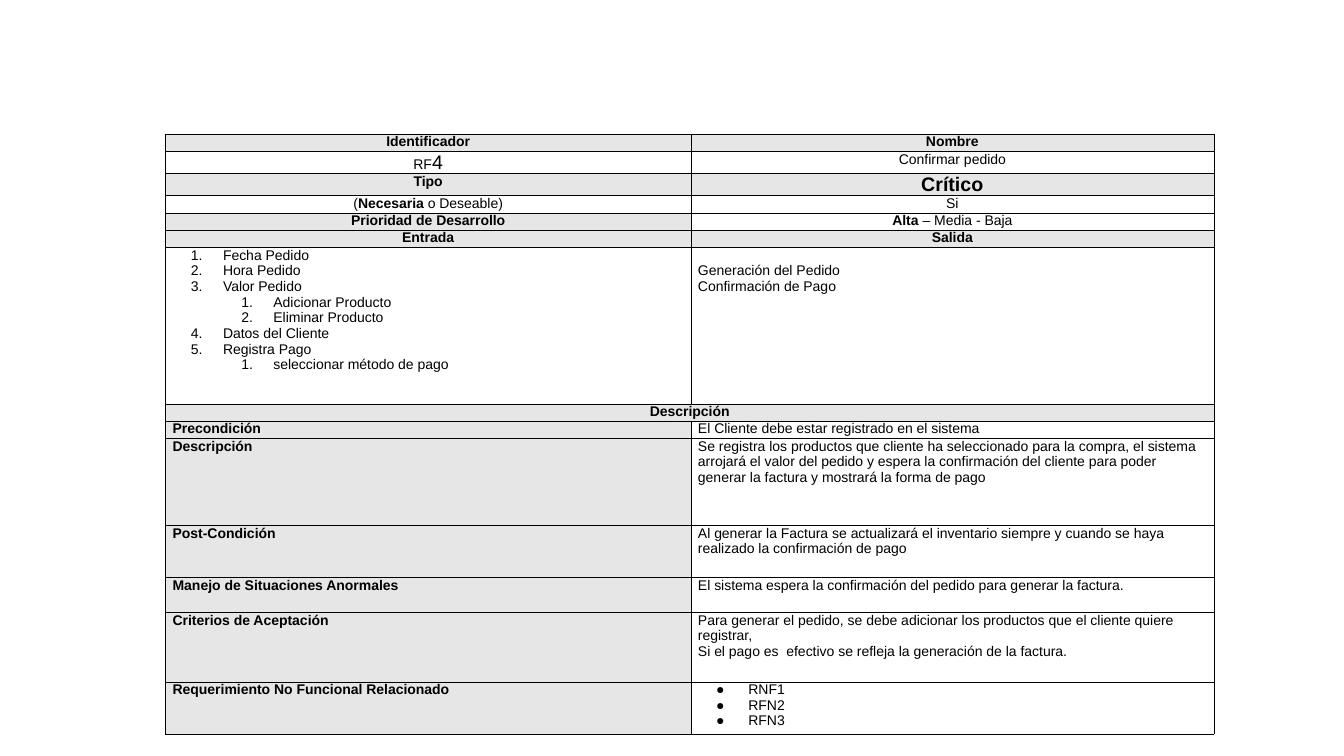
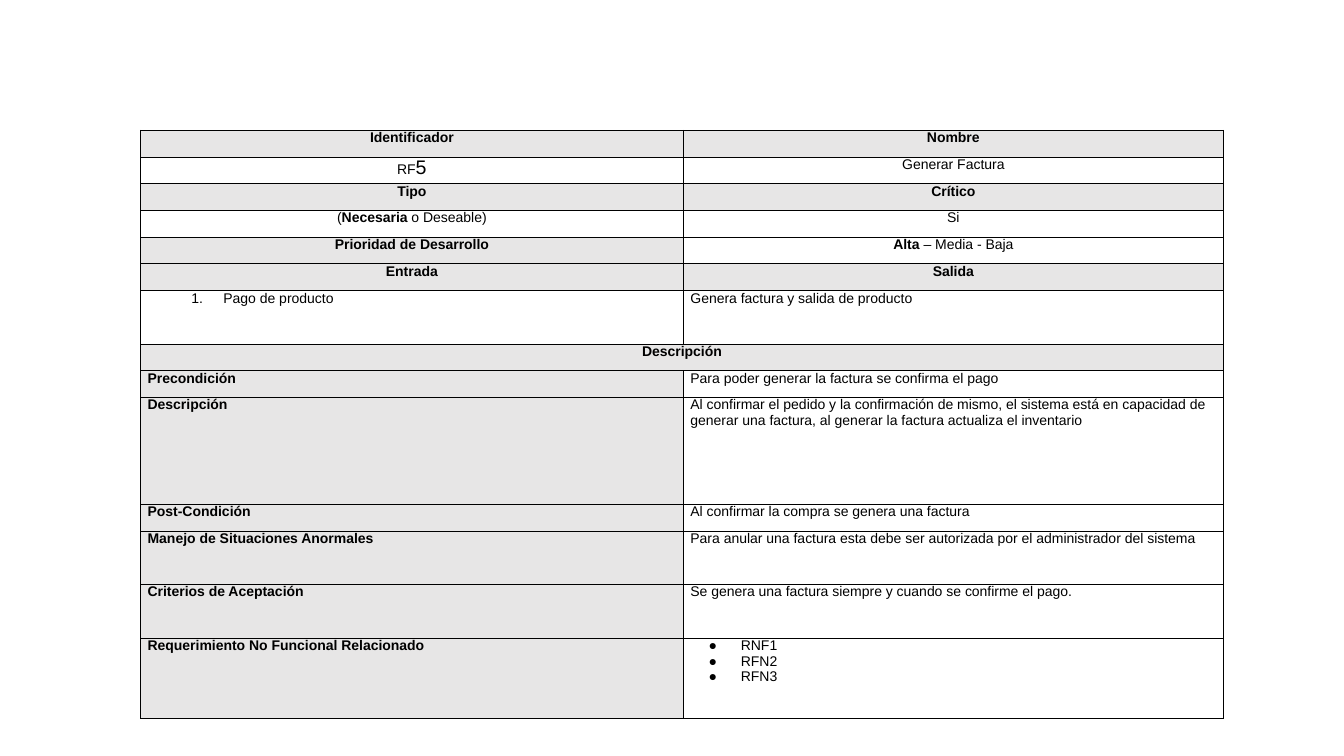
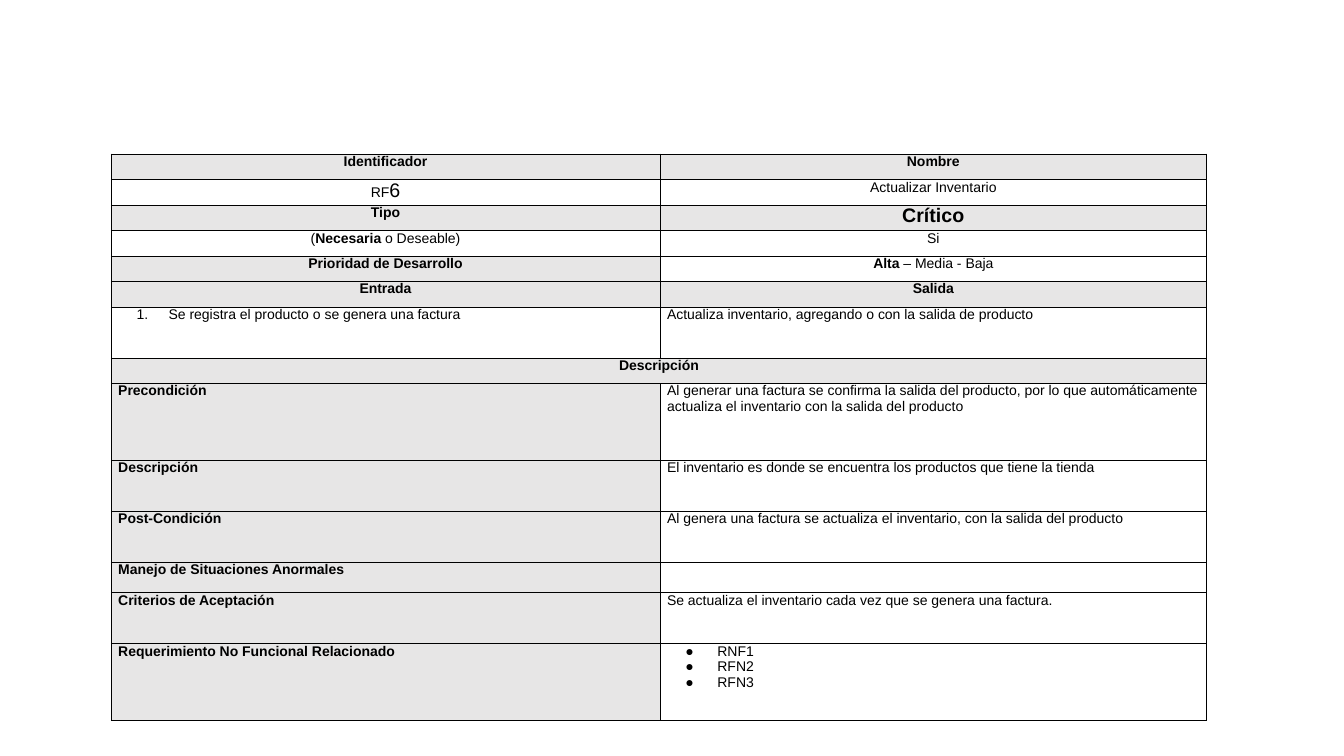
"""Build three requirement sheets as tables, one per slide."""
from dataclasses import dataclass, field

from lxml.etree import SubElement
from pptx import Presentation
from pptx.dml.color import RGBColor
from pptx.enum.text import PP_ALIGN
from pptx.oxml.ns import qn
from pptx.util import Cm, Pt


@dataclass(frozen=True)
class Theme:
    """Colours, type sizes and lengths that all sheets share."""
    font: str = "Arial"
    ink: str = "000000"
    shade: str = "E7E6E6"
    body: float = 10
    large: float = 14
    border: float = 0.5
    side_margin: float = 0.18
    hanging: float = 0.81
    list_indent: float = 1.27


THEME = Theme()


@dataclass(frozen=True)
class Run:
    """A stretch of text in one format."""
    text: str
    bold: bool = False
    size: float = THEME.body


@dataclass(frozen=True)
class Line:
    """A paragraph, with a list marker if it has one."""
    runs: tuple[Run, ...]
    marker: str = ""
    level: int = 0
    indent: float = THEME.list_indent


@dataclass(frozen=True)
class Box:
    """The content and look of one table cell."""
    lines: tuple[Line, ...]
    shaded: bool = False
    centred: bool = False
    top_margin: float = 0


@dataclass(frozen=True)
class Requirement:
    """The content and geometry of one sheet."""
    left: float
    top: float
    columns: tuple[float, float]
    height: float
    row_units: tuple[int, ...]
    number: str
    name: str
    inputs: tuple[Line, ...]
    outputs: tuple[str, ...]
    details: tuple[tuple[str, ...], ...]
    critical_size: float = THEME.large
    output_margin: float = 0
    related: tuple[str, ...] = field(default=("RNF1", "RFN2", "RFN3"))


def numbered(text: str, level: int = 0, indent: float = THEME.list_indent) -> Line:
    """Return a numbered list line."""
    return Line((Run(text),), "1.", level, indent)


def heading(text: str, size: float = THEME.body, centred: bool = True) -> Box:
    """Return a shaded cell with a bold label."""
    return Box((Line((Run(text, True, size),)),), shaded=True, centred=centred)


def centred_value(*runs: Run) -> Box:
    """Return a plain centred cell."""
    return Box((Line(runs),), centred=True)


def plain(texts: tuple[str, ...], top_margin: float = 0) -> Box:
    """Return a cell with one paragraph for each text."""
    return Box(tuple(Line((Run(text),)) for text in texts), top_margin=top_margin)


LABELS = (
    "Precondición",
    "Descripción",
    "Post-Condición",
    "Manejo de Situaciones Anormales",
    "Criterios de Aceptación",
)

REQUIREMENTS = (
    Requirement(
        left=4.17, top=3.38, columns=(13.24, 13.18), height=14.89,
        row_units=(1, 1, 1, 1, 1, 1, 9, 1, 1, 5, 3, 2, 4, 3),
        number="4", name="Confirmar pedido",
        inputs=(
            numbered("Fecha Pedido"),
            numbered("Hora Pedido"),
            numbered("Valor Pedido"),
            numbered("Adicionar Producto", 1, 2.54),
            numbered("Eliminar Producto", 1, 2.54),
            numbered("Datos del Cliente"),
            numbered("Registra Pago"),
            numbered("seleccionar método de pago", 1, 2.54),
        ),
        outputs=("Generación del Pedido", "Confirmación de Pago"),
        output_margin=0.39,
        details=(
            ("El Cliente debe estar registrado en el sistema",),
            ("Se registra los productos que cliente ha seleccionado para la compra, "
             "el sistema arrojará el valor del pedido y espera la confirmación del "
             "cliente para poder generar la factura y mostrará la forma de pago",),
            ("Al generar la Factura se actualizará el inventario siempre y cuando "
             "se haya realizado la confirmación de pago",),
            ("El sistema espera la confirmación del pedido para generar la factura.",),
            ("Para generar el pedido, se debe adicionar los productos que el cliente "
             "quiere registrar,",
             "Si el pago es  efectivo se refleja la generación de la factura."),
        ),
    ),
    Requirement(
        left=3.54, top=3.28, columns=(13.68, 13.61), height=14.82,
        row_units=(1, 1, 1, 1, 1, 1, 2, 1, 1, 4, 1, 2, 2, 3),
        number="5", name="Generar Factura", critical_size=THEME.body,
        inputs=(numbered("Pago de producto", indent=1.91),),
        outputs=("Genera factura y salida de producto",),
        details=(
            ("Para poder generar la factura se confirma el pago",),
            ("Al confirmar el pedido y la confirmación de mismo, el sistema está en "
             "capacidad de generar una factura, al generar la factura actualiza el "
             "inventario",),
            ("Al confirmar la compra se genera una factura",),
            ("Para anular una factura esta debe ser autorizada por el administrador "
             "del sistema",),
            ("Se genera una factura siempre y cuando se confirme el pago.",),
        ),
    ),
    Requirement(
        left=2.8, top=3.88, columns=(13.83, 13.78), height=14.14,
        row_units=(1, 1, 1, 1, 1, 1, 2, 1, 3, 2, 2, 1, 2, 3),
        number="6", name="Actualizar Inventario",
        inputs=(numbered("Se registra el producto o se genera una factura"),),
        outputs=("Actualiza inventario, agregando o con la salida de producto",),
        details=(
            ("Al generar una factura se confirma la salida del producto, por lo que "
             "automáticamente actualiza el inventario con la salida del producto",),
            ("El inventario es donde se encuentra los productos que tiene la tienda",),
            ("Al genera una factura se actualiza el inventario, con la salida del "
             "producto",),
            (),
            ("Se actualiza el inventario cada vez que se genera una factura.",),
        ),
    ),
)


def sheet_rows(requirement: Requirement) -> list[tuple[Box, ...]]:
    """Return the cells of a sheet, row by row."""
    related = tuple(Line((Run(text),), "●") for text in requirement.related)
    return [
        (heading("Identificador"), heading("Nombre")),
        (centred_value(Run("RF"), Run(requirement.number, size=THEME.large)),
         centred_value(Run(requirement.name))),
        (heading("Tipo"), heading("Crítico", requirement.critical_size)),
        (centred_value(Run("("), Run("Necesaria ", True), Run("o Deseable)")),
         centred_value(Run("Si"))),
        (heading("Prioridad de Desarrollo"),
         centred_value(Run("Alta", True), Run(" – Media - Baja"))),
        (heading("Entrada"), heading("Salida")),
        (Box(requirement.inputs), plain(requirement.outputs, requirement.output_margin)),
        (heading("Descripción"),),
        *((heading(label, centred=False), plain(texts))
          for label, texts in zip(LABELS, requirement.details)),
        (heading("Requerimiento No Funcional Relacionado", centred=False), Box(related)),
    ]


def add_text(paragraph, text: str, *, bold: bool, size: float) -> None:
    """Add a run of text in the theme font."""
    run = paragraph.add_run()
    run.text = text
    run.font.name = THEME.font
    run.font.size = Pt(size)
    run.font.bold = bold
    run.font.color.rgb = RGBColor.from_string(THEME.ink)


def add_marker(paragraph, line: Line) -> None:
    """Give a paragraph its number or bullet and hanging indent."""
    paragraph.level = line.level
    properties = paragraph._p.get_or_add_pPr()
    properties.set("marL", str(int(Cm(line.indent))))
    properties.set("indent", str(-int(Cm(THEME.hanging))))
    colour = SubElement(properties, qn("a:buClr"))
    SubElement(colour, qn("a:srgbClr"), val=THEME.ink)
    SubElement(properties, qn("a:buFont"), typeface=THEME.font)
    if line.marker == "1.":
        SubElement(properties, qn("a:buAutoNum"), type="arabicPeriod")
    else:
        SubElement(properties, qn("a:buChar"), char=line.marker)


def set_borders(cell) -> None:
    """Draw a thin line on all four sides of a cell."""
    properties = cell._tc.get_or_add_tcPr()
    for position, side in enumerate(("lnL", "lnR", "lnT", "lnB")):
        border = SubElement(properties, qn(f"a:{side}"), w=str(int(Pt(THEME.border))))
        fill = SubElement(border, qn("a:solidFill"))
        SubElement(fill, qn("a:srgbClr"), val=THEME.ink)
        properties.insert(position, border)


def style_cell(cell, shaded: bool, top_margin: float = 0) -> None:
    """Set the margins, fill and borders of a cell."""
    cell.margin_left = cell.margin_right = Cm(THEME.side_margin)
    cell.margin_top = Cm(top_margin)
    cell.margin_bottom = 0
    if shaded:
        cell.fill.solid()
        cell.fill.fore_color.rgb = RGBColor.from_string(THEME.shade)
    else:
        cell.fill.background()
    set_borders(cell)


def fill_cell(cell, box: Box) -> None:
    """Style a cell and write its lines."""
    style_cell(cell, box.shaded, box.top_margin)
    for position, line in enumerate(box.lines):
        frame = cell.text_frame
        paragraph = frame.add_paragraph() if position else frame.paragraphs[0]
        if line.marker:
            add_marker(paragraph, line)
        paragraph.alignment = PP_ALIGN.CENTER if box.centred else PP_ALIGN.LEFT
        for run in line.runs:
            add_text(paragraph, run.text, bold=run.bold, size=run.size)


def add_sheet(presentation, requirement: Requirement) -> None:
    """Add a slide with the table of one requirement."""
    slide = presentation.slides.add_slide(presentation.slide_layouts[6])
    rows = sheet_rows(requirement)
    table = slide.shapes.add_table(
        len(rows), 2, Cm(requirement.left), Cm(requirement.top),
        Cm(sum(requirement.columns)), Cm(requirement.height)).table
    table.first_row = table.horz_banding = False
    for column, width in zip(table.columns, requirement.columns):
        column.width = Cm(width)
    unit = requirement.height / sum(requirement.row_units)
    for row_index, boxes in enumerate(rows):
        table.rows[row_index].height = Cm(unit * requirement.row_units[row_index])
        for column_index, box in enumerate(boxes):
            fill_cell(table.cell(row_index, column_index), box)
        if len(boxes) == 1:
            style_cell(table.cell(row_index, 1), shaded=True)
            table.cell(row_index, 0).merge(table.cell(row_index, 1))


def main() -> None:
    """Build and save the presentation."""
    presentation = Presentation()
    presentation.slide_width = Cm(33.87)
    presentation.slide_height = Cm(19.05)
    for requirement in REQUIREMENTS:
        add_sheet(presentation, requirement)
    presentation.save("out.pptx")


if __name__ == "__main__":
    main()
